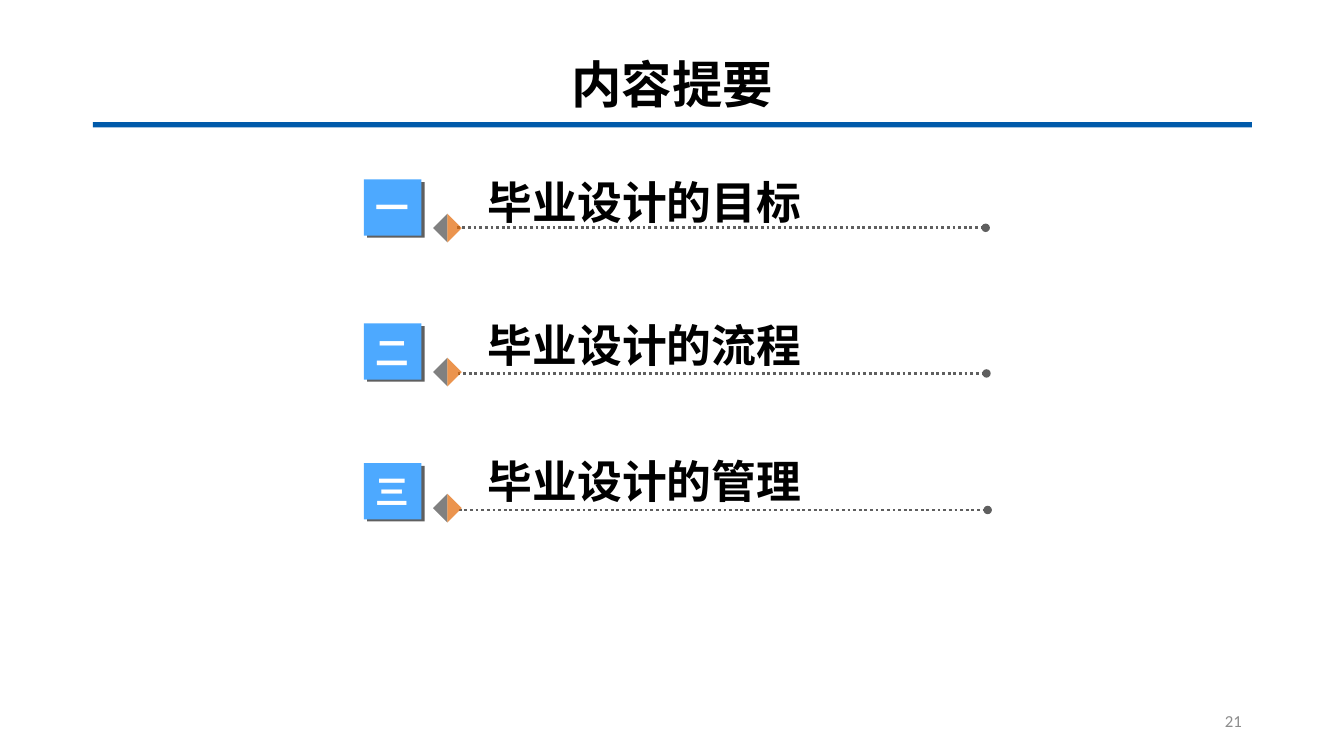
from lxml.etree import SubElement
from pptx import Presentation
from pptx.dml.color import RGBColor
from pptx.enum.dml import MSO_LINE
from pptx.enum.shapes import MSO_CONNECTOR, MSO_SHAPE
from pptx.enum.text import MSO_ANCHOR, PP_ALIGN
from pptx.oxml.ns import qn
from pptx.util import Cm, Pt

COLORS = {
    "rule": "005AAA",
    "badge": "4DA9FF",
    "gray": "5F5F5F",
    "left": "808080",
    "right": "E46C0A",
    "number": "8C8C8C",
    "black": "000000",
    "white": "FFFFFF",
}
CJK = "Noto Sans CJK SC"


class OutlineSlide:
    """Draws the parts of an outline slide in one style, in centimetres."""

    def __init__(self, slide):
        self.shapes = slide.shapes

    def block(self, kind, box, color, rotation=0, opacity=100):
        shape = self.shapes.add_shape(kind, *map(Cm, box))
        shape.shadow.inherit = False
        shape.rotation = rotation
        shape.fill.solid()
        shape.fill.fore_color.rgb = RGBColor.from_string(COLORS[color])
        shape.line.fill.background()
        if opacity < 100:
            tint = shape.fill._xPr.find(qn("a:solidFill"))[0]
            SubElement(tint, qn("a:alpha"), val=str(opacity * 1000))
        return shape

    def set_text(self, shape, words, size, color, align, anchor, font=CJK, bold=True):
        frame = shape.text_frame
        frame.word_wrap = True
        frame.vertical_anchor = anchor
        paragraph = frame.paragraphs[0]
        paragraph.text = words
        paragraph.alignment = align
        paragraph.font.name = font
        paragraph.font.size = Pt(size)
        paragraph.font.bold = bold
        paragraph.font.color.rgb = RGBColor.from_string(COLORS[color])
        defaults = paragraph._p.pPr.find(qn("a:defRPr"))
        SubElement(defaults, qn("a:ea"), typeface=font)
        return paragraph

    def label(self, box, words, size, color="black", align=PP_ALIGN.LEFT,
              anchor=MSO_ANCHOR.TOP, **style):
        textbox = self.shapes.add_textbox(*map(Cm, box))
        return self.set_text(textbox, words, size, color, align, anchor, **style)

    def badge(self, top, numeral):
        self.block(MSO_SHAPE.RECTANGLE, (9.25, top + 0.07, 1.45, 1.4), "gray")
        face = self.block(MSO_SHAPE.RECTANGLE, (9.17, top, 1.45, 1.42), "badge")
        self.set_text(face, numeral, 24, "white", PP_ALIGN.CENTER, MSO_ANCHOR.MIDDLE)

    def dotted_line(self, left, y):
        line = self.shapes.add_connector(
            MSO_CONNECTOR.STRAIGHT, Cm(left), Cm(y), Cm(left + 13.33), Cm(y))
        line.line.color.rgb = RGBColor.from_string(COLORS["gray"])
        line.line.width = Pt(2)
        line.line.dash_style = MSO_LINE.ROUND_DOT
        SubElement(line.line._get_or_add_ln(), qn("a:tailEnd"), type="oval")
        SubElement(line._element.spPr, qn("a:effectLst"))

    def diamond(self, top):
        box = (11.02, top, 0.51, 0.51)
        self.block(MSO_SHAPE.RIGHT_TRIANGLE, box, "left", rotation=45)
        self.block(MSO_SHAPE.RIGHT_TRIANGLE, box, "right", rotation=225, opacity=72)


def main():
    deck = Presentation()
    deck.slide_width, deck.slide_height = Cm(33.87), Cm(19.05)
    outline = OutlineSlide(deck.slides.add_slide(deck.slide_layouts[6]))

    outline.block(MSO_SHAPE.RECTANGLE, (2.34, 3.08, 29.21, 0.13), "rule")
    title = outline.label((2.34, 1.02, 29.21, 2.34), "内容提要", 36,
                          align=PP_ALIGN.CENTER, anchor=MSO_ANCHOR.MIDDLE)
    title.line_spacing = 0.9

    chapters = [
        ("一", "毕业设计的目标", 4.52, 4.29, 5.49, 11.51, 5.74),
        ("二", "毕业设计的流程", 8.15, 7.87, 9.12, 11.53, 9.41),
        ("三", "毕业设计的管理", 11.67, 11.3, 12.55, 11.56, 12.85),
    ]
    for numeral, heading, badge_top, heading_top, diamond_top, line_left, line_y in chapters:
        outline.dotted_line(line_left, line_y)
        outline.diamond(diamond_top)
        outline.label((12.04, heading_top, 11.5, 1.63), heading, 32)
        outline.badge(badge_top, numeral)

    outline.label((23.93, 17.65, 7.62, 1.02), "21", 12, "number", PP_ALIGN.RIGHT,
                  MSO_ANCHOR.MIDDLE, font="Calibri", bold=False)
    deck.save("out.pptx")


if __name__ == "__main__":
    main()
